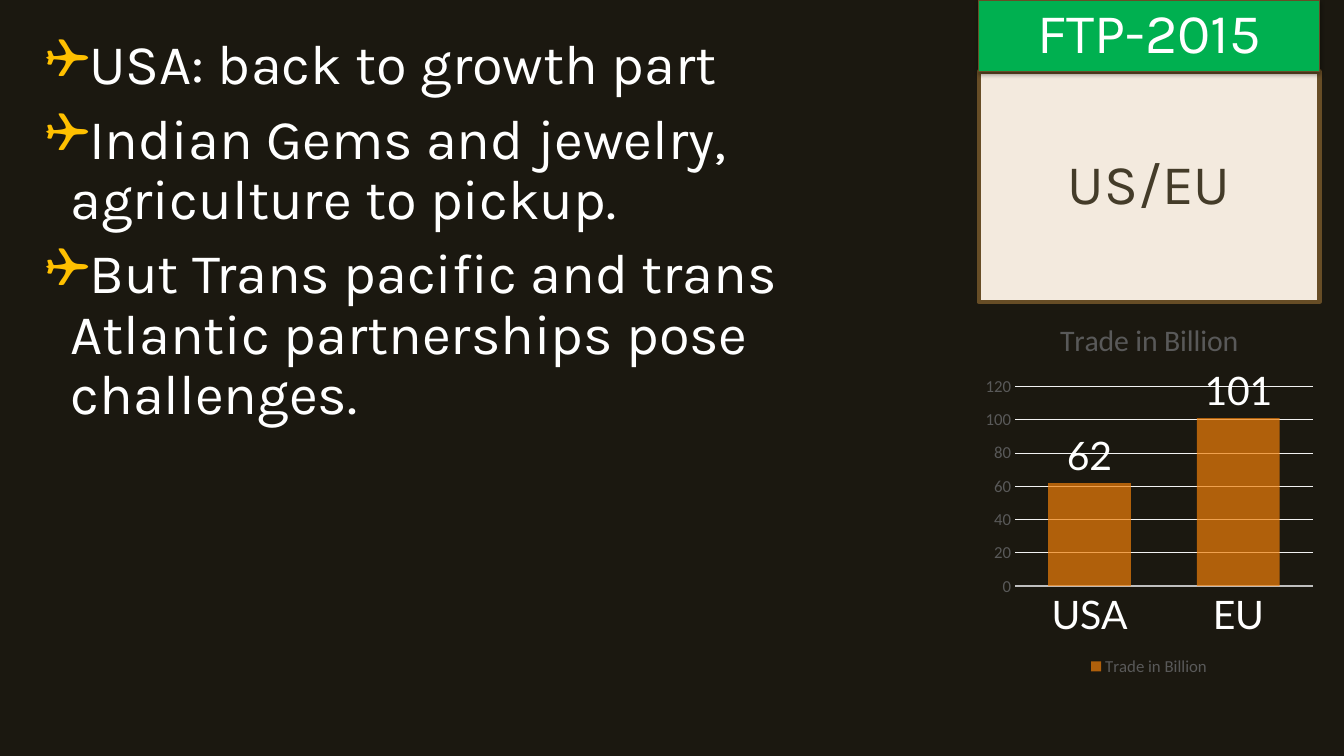
from lxml.etree import SubElement
from pptx import Presentation
from pptx.chart.data import CategoryChartData
from pptx.dml.color import RGBColor
from pptx.enum.chart import (XL_CHART_TYPE, XL_LABEL_POSITION,
                             XL_LEGEND_POSITION, XL_TICK_MARK)
from pptx.enum.shapes import MSO_SHAPE
from pptx.enum.text import MSO_ANCHOR, PP_ALIGN
from pptx.oxml.ns import qn
from pptx.util import Pt

DARK = RGBColor(0x1B, 0x18, 0x10)
WHITE = RGBColor(0xFF, 0xFF, 0xFF)
GOLD = RGBColor(0xFF, 0xC0, 0x00)
GREEN = RGBColor(0x00, 0xB0, 0x50)
CREAM = RGBColor(0xF3, 0xEA, 0xDE)
BROWN = RGBColor(0x67, 0x4D, 0x26)
INK = RGBColor(0x44, 0x3C, 0x29)
ORANGE = RGBColor(0xF0, 0x7F, 0x09)
GRAY = RGBColor(0x59, 0x59, 0x59)
RULE = RGBColor(0xBF, 0xBF, 0xBF)
GRID = RGBColor(0xF2, 0xF2, 0xF2)

LEFT, WIDE = Pt(699.1), Pt(243.4)
POINTS = (
    "USA: back to growth part",
    "Indian Gems and jewelry, agriculture to pickup.",
    "But Trans pacific and trans Atlantic partnerships pose challenges.",
)


def style(font, name, size, color):
    """Set the face, size and colour of a font."""
    font.name, font.size, font.bold = name, Pt(size), False
    font.color.rgb = color


def add_run(para, text, color):
    """Add one large run to a paragraph."""
    para.line_spacing = 0.9
    run = para.add_run()
    run.text = text
    style(run.font, "Karla", 40, color)


def add_mark(para):
    """Give a paragraph a hanging gold box bullet."""
    props = para._p.get_or_add_pPr()
    props.set("marL", str(Pt(18)))
    props.set("indent", str(-Pt(18)))
    color = SubElement(props, qn("a:buClr"))
    SubElement(color, qn("a:srgbClr"), val=str(GOLD))
    SubElement(props, qn("a:buFont"), typeface="Wingdings")
    SubElement(props, qn("a:buChar"), char="❑")


def add_list(slide):
    """Add the bulleted points."""
    frame = slide.shapes.add_textbox(
        Pt(25.2), Pt(22.3), Pt(668.9), Pt(463.7)).text_frame
    frame.word_wrap = True
    for i, text in enumerate(POINTS):
        para = frame.add_paragraph() if i else frame.paragraphs[0]
        add_mark(para)
        if i:
            para.space_before = Pt(10)
        add_run(para, text, WHITE)


def add_panel(slide, text, top, high, fill, line, color):
    """Add a filled rectangle with a centred label."""
    box = slide.shapes.add_shape(
        MSO_SHAPE.RECTANGLE, LEFT, Pt(top), WIDE, Pt(high))
    box.shadow.inherit = False
    box.fill.solid()
    box.fill.fore_color.rgb = fill
    box.line.color.rgb = BROWN
    box.line.width = Pt(line)
    frame = box.text_frame
    frame.word_wrap = True
    frame.vertical_anchor = MSO_ANCHOR.MIDDLE
    para = frame.paragraphs[0]
    para.alignment = PP_ALIGN.CENTER
    add_run(para, text, color)
    return box


def add_shade(box):
    """Give a shape a soft shadow below it."""
    effect = box._element.spPr.find(qn("a:effectLst"))
    shade = SubElement(effect, qn("a:outerShdw"), blurRad=str(Pt(3.1)),
                       dist=str(Pt(1.8)), dir="5400000", rotWithShape="0")
    color = SubElement(shade, qn("a:srgbClr"), val="000000")
    SubElement(color, qn("a:alpha"), val="35000")


def set_axes(chart):
    """Format both axes and the grid."""
    cat, val = chart.category_axis, chart.value_axis
    for axis in (cat, val):
        axis.major_tick_mark = axis.minor_tick_mark = XL_TICK_MARK.NONE
    style(cat.tick_labels.font, "Lato", 28, WHITE)
    cat.format.line.color.rgb = RULE
    cat.format.line.width = Pt(1.25)
    style(val.tick_labels.font, "Calibri", 12, GRAY)
    val.format.line.fill.background()
    val.has_major_gridlines = True
    grid = val.major_gridlines.format.line
    grid.color.rgb = GRID
    grid.width = Pt(0.75)


def set_bars(plot):
    """Format the columns and their labels."""
    plot.gap_width, plot.overlap = 80, 25
    plot.vary_by_categories = False
    bars = plot.series[0]
    fill = bars.format.fill
    fill.solid()
    fill.fore_color.rgb = ORANGE
    color = bars._element.spPr.find(".//" + qn("a:srgbClr"))
    SubElement(color, qn("a:alpha"), val="70000")
    labels = bars.data_labels
    labels.show_value = True
    labels.position = XL_LABEL_POSITION.OUTSIDE_END
    style(labels.font, "Lato", 28, WHITE)


def add_trade(slide):
    """Add the trade column chart."""
    data = CategoryChartData()
    data.categories = ["USA", "EU"]
    data.add_series("Trade in Billion", (62, 101))
    chart = slide.shapes.add_chart(
        XL_CHART_TYPE.COLUMN_CLUSTERED, LEFT, Pt(215.3), WIDE, Pt(270.7),
        data).chart
    style(chart.font, "Calibri", 10, GRAY)
    chart.has_title = True
    run = chart.chart_title.text_frame.paragraphs[0].add_run()
    run.text = "Trade in Billion"
    style(run.font, "Calibri", 21.3, GRAY)
    chart.has_legend = True
    chart.legend.position = XL_LEGEND_POSITION.BOTTOM
    chart.legend.include_in_layout = False
    style(chart.legend.font, "Calibri", 12, GRAY)
    set_axes(chart)
    set_bars(chart.plots[0])


def main():
    """Build the slide and save it."""
    deck = Presentation()
    deck.slide_width, deck.slide_height = Pt(960), Pt(540)
    slide = deck.slides.add_slide(deck.slide_layouts[6])
    slide.background.fill.solid()
    slide.background.fill.fore_color.rgb = DARK
    add_trade(slide)
    add_list(slide)
    add_panel(slide, "US/EU", 51.1, 164.6, CREAM, 3, INK)
    add_shade(add_panel(slide, "FTP-2015", 0, 51.1, GREEN, 0.75, WHITE))
    deck.save("out.pptx")


if __name__ == "__main__":
    main()
